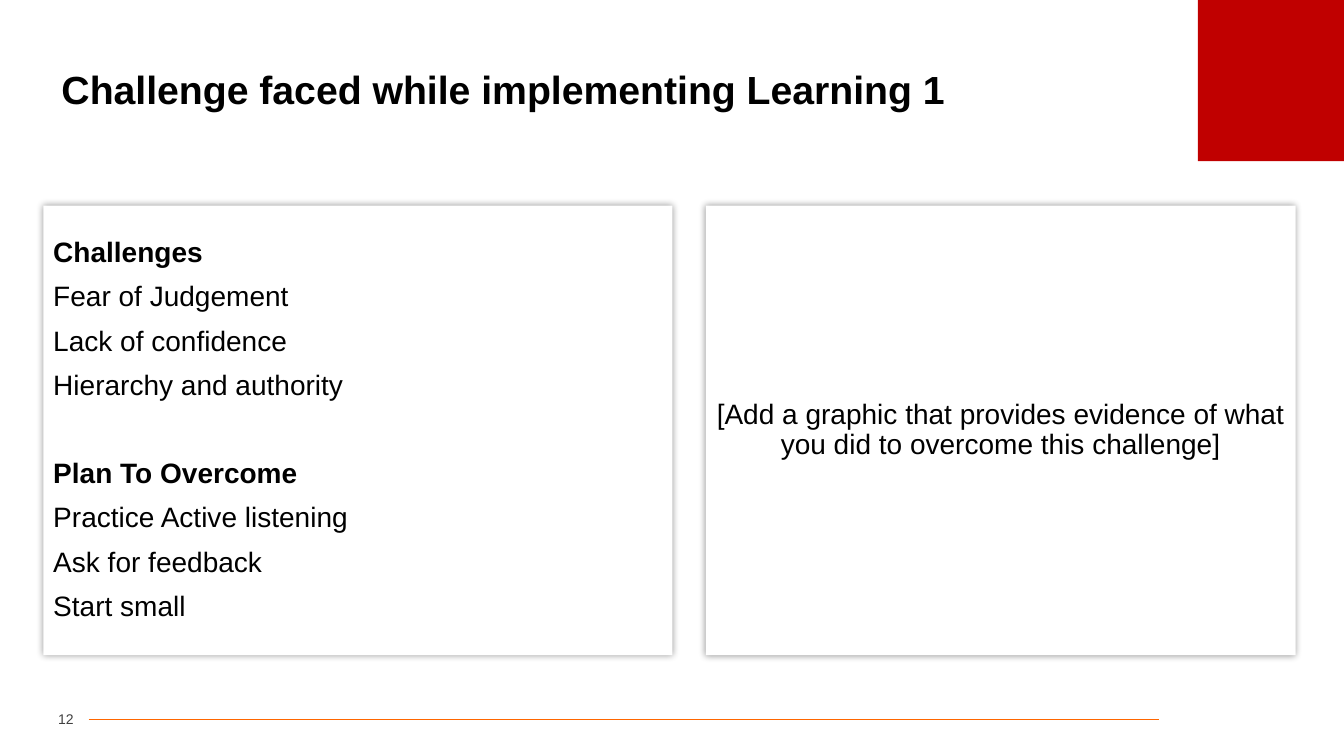
import lxml.etree
import pptx
import pptx.dml.color
import pptx.enum.shapes
import pptx.enum.text
import pptx.oxml.ns
import pptx.util

RGBColor = pptx.dml.color.RGBColor
Align = pptx.enum.text.PP_ALIGN
Inches, Pt = pptx.util.Inches, pptx.util.Pt

BLACK = RGBColor(0x00, 0x00, 0x00)
WHITE = RGBColor(0xFF, 0xFF, 0xFF)
GRAY = RGBColor(0x40, 0x40, 0x40)
RED = RGBColor(0xC0, 0x00, 0x00)
ORANGE = RGBColor(0xFF, 0x66, 0x00)

SLIDE_WIDTH, SLIDE_HEIGHT = 13.33, 7.5
PANEL_TOP, PANEL_HEIGHT = 2.04, 4.46
BODY_FORMAT = {"line_spacing": 0.9, "space_before": Pt(10)}
SECTION_GAP = Pt(41.5)

SECTIONS = {
    "Challenges": ["Fear of Judgement", "Lack of confidence", "Hierarchy and authority"],
    "Plan To Overcome": ["Practice Active listening", "Ask for feedback", "Start small"],
}
EVIDENCE = "[Add a graphic that provides evidence of what you did to overcome this challenge]"


def apply(target, values):
    """Set each attribute of the target from a dict."""
    for name, value in values.items():
        setattr(target, name, value)


def place(shape, box):
    """Move a shape to a box given in inches."""
    apply(shape, dict(zip(("left", "top", "width", "height"), map(Inches, box))))


def write(para, text, size, color=BLACK, bold=False, **layout):
    """Write one formatted run into a paragraph."""
    span = para.add_run()
    span.text = text
    apply(span.font, {"name": "Arial", "size": Pt(size), "bold": bold})
    span.font.color.rgb = color
    apply(para, layout)


def add_rectangle(page, box, color):
    """Add a plain filled rectangle."""
    shape = page.shapes.add_shape(
        pptx.enum.shapes.MSO_SHAPE.RECTANGLE, *map(Inches, box))
    shape.fill.solid()
    shape.fill.fore_color.rgb = color
    shape.line.fill.background()
    shape.shadow.inherit = False
    return shape


def add_panel(page, box, entries, alignment):
    """Add a white panel with a soft glow and (text, bold, space before) entries."""
    panel = add_rectangle(page, box, WHITE)
    qn = pptx.oxml.ns.qn
    effects = panel._element.spPr.find(qn("a:effectLst"))
    shadow = lxml.etree.SubElement(
        effects, qn("a:outerShdw"), blurRad=str(Pt(5)), dist="0", dir="0",
        algn="ctr", rotWithShape="0")
    tint = lxml.etree.SubElement(shadow, qn("a:srgbClr"), val=str(BLACK))
    lxml.etree.SubElement(tint, qn("a:alpha"), val="40000")
    frame = panel.text_frame
    apply(frame, {"word_wrap": True,
                  "vertical_anchor": pptx.enum.text.MSO_ANCHOR.MIDDLE})
    for index, (text, bold, gap) in enumerate(entries):
        para = frame.add_paragraph() if index else frame.paragraphs[0]
        layout = BODY_FORMAT | {"alignment": alignment, "space_before": gap}
        write(para, text, 20, bold=bold, **layout)


def add_header(page, box):
    """Fill the title placeholder and add the red corner block."""
    left, top, width, height = box
    add_rectangle(page, (left + width - 1.45, top, 1.45, height), RED)
    title = page.shapes.title
    place(title, (left + 0.51, top + 0.52, 12.31, 0.78))
    apply(title.text_frame, {"word_wrap": True,
                             "vertical_anchor": pptx.enum.text.MSO_ANCHOR.MIDDLE})
    write(title.text_frame.paragraphs[0], "Challenge faced while implementing Learning 1",
          28, bold=True, alignment=Align.LEFT, line_spacing=0.9)


def add_footer(page, box):
    """Add the page number and the rule beside it."""
    left, top, width, height = box
    number = page.shapes.add_textbox(*map(Inches, (left, top, 0.4, height)))
    apply(number.text_frame, {"word_wrap": True, "margin_left": 0, "margin_right": 0,
                              "vertical_anchor": pptx.enum.text.MSO_ANCHOR.MIDDLE})
    write(number.text_frame.paragraphs[0], "12", 10, GRAY, alignment=Align.RIGHT)
    middle = Inches(top + height / 2)
    rule = page.shapes.add_connector(
        pptx.enum.shapes.MSO_CONNECTOR.STRAIGHT,
        Inches(left + 0.55), middle, Inches(left + width), middle)
    rule.line.color.rgb = ORANGE
    rule.line.width = Pt(0.5)
    lxml.etree.SubElement(rule._element.spPr, pptx.oxml.ns.qn("a:effectLst"))


def section_entries():
    """List headings and their points, with a wider gap between sections."""
    entries = []
    for heading, points in SECTIONS.items():
        gap = SECTION_GAP if entries else BODY_FORMAT["space_before"]
        entries.append((heading, True, gap))
        entries += [(point, False, BODY_FORMAT["space_before"]) for point in points]
    return entries


def main():
    """Build the slide and save it."""
    deck = pptx.Presentation()
    apply(deck, {"slide_width": Inches(SLIDE_WIDTH), "slide_height": Inches(SLIDE_HEIGHT)})
    page = deck.slides.add_slide(deck.slide_layouts[5])
    add_header(page, (0, 0, SLIDE_WIDTH, 1.6))
    add_panel(page, (0.43, PANEL_TOP, 6.24, PANEL_HEIGHT), section_entries(), Align.LEFT)
    add_panel(page, (7, PANEL_TOP, 5.85, PANEL_HEIGHT),
              [(EVIDENCE, False, BODY_FORMAT["space_before"])], Align.CENTER)
    add_footer(page, (0.33, 6.99, 11.17, 0.29))
    deck.save("out.pptx")


if __name__ == "__main__":
    main()
